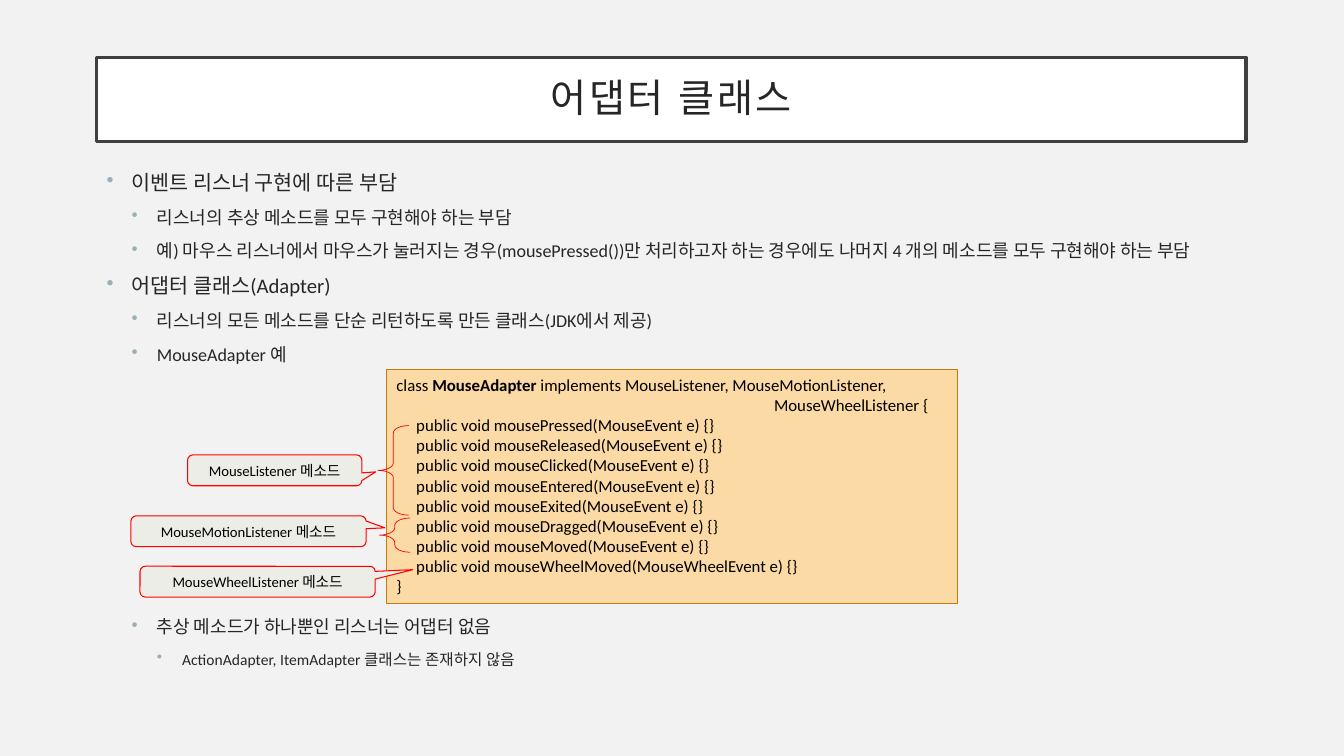
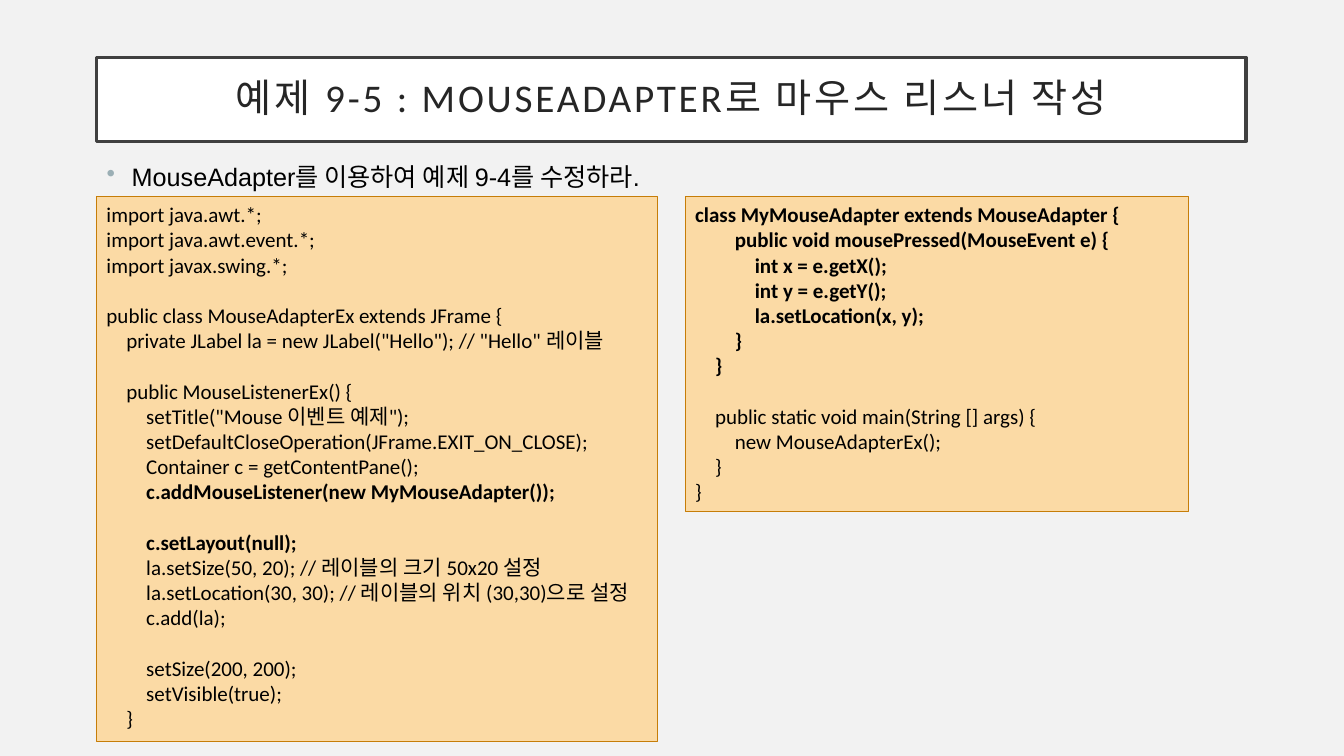
from dataclasses import dataclass

from lxml import etree
from pptx import Presentation
from pptx.dml.color import RGBColor
from pptx.enum import shapes, text
from pptx.oxml import ns
from pptx.util import Pt


@dataclass(frozen=True)
class Theme:
    background: str = "F2F2F2"
    title_fill: str = "FFFFFF"
    title_line: str = "404040"
    body: str = "262626"
    bullet: str = "9BAFB5"
    black: str = "000000"
    code_fill: str = "FBDAA5"
    code_line: str = "C67D08"
    note_fill: str = "EBEDE6"
    accent: str = "FF0000"
    font: str = "Calibri"
    title_size: float = 28
    level_sizes: tuple = (14.8, 12.9, 11.1)
    note_size: float = 10.5
    left: float = 69
    width: float = 821
    bullet_step: float = 18
    code_step: float = 14.2


T = Theme()
SHAPE = shapes.MSO_SHAPE

OUTLINE = [
    (0, "이벤트 리스너 구현에 따른 부담"),
    (1, "리스너의 추상 메소드를 모두 구현해야 하는 부담"),
    (1, "예) 마우스 리스너에서 마우스가 눌러지는 경우(mousePressed())만 처리하고자 하는 경우에도 나머지 4 개의 메소드를 모두 구현해야 하는 부담"),
    (0, "어댑터 클래스(Adapter)"),
    (1, "리스너의 모든 메소드를 단순 리턴하도록 만든 클래스(JDK에서 제공)"),
    (1, "MouseAdapter 예"),
]

CLOSING = [
    (1, "추상 메소드가 하나뿐인 리스너는 어댑터 없음"),
    (2, "ActionAdapter, ItemAdapter 클래스는 존재하지 않음"),
]

ADAPTER_METHODS = ["Pressed", "Released", "Clicked", "Entered", "Exited", "Dragged", "Moved"]
ADAPTER_CODE = "\n".join([
    "class **MouseAdapter** implements MouseListener, MouseMotionListener,",
    "\t" * 19 + "MouseWheelListener {",
    *(f"\tpublic void mouse{name}(MouseEvent e) {{}}" for name in ADAPTER_METHODS),
    "\tpublic void mouseWheelMoved(MouseWheelEvent e) {}",
    "}",
])

FRAME_CODE = """import java.awt.*;
import java.awt.event.*;
import javax.swing.*;

public class MouseAdapterEx extends JFrame {
\tprivate JLabel la = new JLabel("Hello"); // "Hello" 레이블

\tpublic MouseListenerEx() {
\t\tsetTitle("Mouse 이벤트 예제");
\t\tsetDefaultCloseOperation(JFrame.EXIT_ON_CLOSE);
\t\tContainer c = getContentPane();
\t\t**c.addMouseListener(new MyMouseAdapter());**

\t\t**c.setLayout(null);**
\t\tla.setSize(50, 20); // 레이블의 크기 50x20 설정
\t\tla.setLocation(30, 30); // 레이블의 위치 (30,30)으로 설정
\t\tc.add(la);

\t\tsetSize(200, 200);
\t\tsetVisible(true);
\t}"""

LISTENER_CODE = """**class MyMouseAdapter extends MouseAdapter {**
\t\t**public void mousePressed(MouseEvent e) {**
\t\t\t**int x = e.getX();**
\t\t\t**int y = e.getY();**
\t\t\t**la.setLocation(x, y);**
\t\t**}**
\t**}**

\tpublic static void main(String [] args) {
\t\tnew MouseAdapterEx();
\t}
}"""


def rgb(color):
    return RGBColor.from_string(color)


def style(r, size, color, font=T.font, bold=False):
    r.font.name = font
    r.font.size = Pt(size)
    r.font.bold = bold
    r.font.color.rgb = rgb(color)


def add_box(s, kind, at, fill, line, line_width, adjustments=()):
    sp = s.shapes.add_shape(kind, *map(Pt, at))
    sp.shadow.inherit = False
    if fill:
        sp.fill.solid()
        sp.fill.fore_color.rgb = rgb(fill)
    else:
        sp.fill.background()
    sp.line.color.rgb = rgb(line)
    sp.line.width = Pt(line_width)
    for i, value in enumerate(adjustments):
        sp.adjustments[i] = value
    sp.text_frame.word_wrap = True
    return sp


def add_label(sp, label, size, color):
    tf = sp.text_frame
    tf.text = label
    tf.vertical_anchor = text.MSO_ANCHOR.MIDDLE
    p = tf.paragraphs[0]
    p.alignment = text.PP_ALIGN.CENTER
    style(p.runs[0], size, color)
    return p


def add_title(s, title):
    sp = add_box(s, SHAPE.RECTANGLE, (T.left, 41, T.width, 60), T.title_fill, T.title_line, 2.5)
    p = add_label(sp, title, T.title_size, T.body)
    p.line_spacing = 0.9
    p.runs[0].font._element.set("spc", "200")


def set_bullet(p, level):
    pPr = p._p.get_or_add_pPr()
    pPr.set("marL", str(Pt(T.bullet_step * (level + 1))))
    pPr.set("indent", str(-Pt(T.bullet_step)))
    color = etree.SubElement(pPr, ns.qn("a:buClr"))
    etree.SubElement(color, ns.qn("a:srgbClr")).set("val", T.bullet)
    etree.SubElement(pPr, ns.qn("a:buChar")).set("char", "•")


def add_bullets(s, top, height, items, sizes=T.level_sizes, color=T.body, font=T.font, spacing=0.9):
    tf = s.shapes.add_textbox(Pt(T.left), Pt(top), Pt(T.width), Pt(height)).text_frame
    tf.word_wrap = True
    for i, (level, line) in enumerate(items):
        p = tf.add_paragraph() if i else tf.paragraphs[0]
        p.text = line
        p.level = level
        set_bullet(p, level)
        p.line_spacing = spacing
        if i:
            p.space_before = Pt(10)
        style(p.runs[0], sizes[level], color, font)


def add_code(s, at, code, size):
    tf = add_box(s, SHAPE.RECTANGLE, at, T.code_fill, T.code_line, 0.75).text_frame
    tf.vertical_anchor = text.MSO_ANCHOR.TOP
    tf.margin_right = 0
    for i, line in enumerate(code.split("\n")):
        p = tf.add_paragraph() if i else tf.paragraphs[0]
        p.alignment = text.PP_ALIGN.LEFT
        content = line.lstrip("\t")
        depth = len(line) - len(content)
        pPr = p._p.get_or_add_pPr()
        pPr.set("marL", str(Pt(T.code_step * depth)))
        pPr.set("indent", "0")
        for j, part in enumerate(content.split("**")):
            if part:
                r = p.add_run()
                r.text = part
                style(r, size, T.black, bold=j % 2 == 1)
        if not content:
            p._p.get_or_add_endParaRPr().set("sz", str(size * 100))


def add_brace(s, at):
    add_box(s, SHAPE.LEFT_BRACE, at, None, T.accent, 0.5, (0.24, 0.5))


def add_callout(s, left, top, width, tip, label):
    sp = add_box(s, SHAPE.ROUNDED_RECTANGULAR_CALLOUT, (left, top, width, 22),
                 T.note_fill, T.accent, 0.75, (*tip, 0.17))
    add_label(sp, label, T.note_size, T.black)


def add_slide(prs, title):
    s = prs.slides.add_slide(prs.slide_layouts[6])
    s.background.fill.solid()
    s.background.fill.fore_color.rgb = rgb(T.background)
    add_title(s, title)
    return s


def build_adapter_slide(prs):
    s = add_slide(prs, "어댑터 클래스")
    add_bullets(s, 119.5, 165, OUTLINE)
    add_bullets(s, 438, 50, CLOSING)
    add_code(s, (276, 264, 408, 167), ADAPTER_CODE, 12)
    add_brace(s, (270, 304, 22, 64))
    add_brace(s, (271, 370, 22, 24.5))
    for left, top, width, tip, listener in (
        (134, 325, 124.5, (0.58, 0.05), "MouseListener"),
        (93.5, 368.5, 168, (0.58, -0.11), "MouseMotionListener"),
        (100, 404.5, 168, (0.66, -0.39), "MouseWheelListener"),
    ):
        add_callout(s, left, top, width, tip, f"{listener} 메소드")


def build_example_slide(prs):
    s = add_slide(prs, "예제 9-5 : MOUSEADAPTER로 마우스 리스너 작성")
    add_bullets(s, 111.5, 29, [(0, "MouseAdapter를 이용하여 예제 9-4를 수정하라.")],
                sizes=(18,), color=T.black, font="Arial", spacing=1.0)
    add_code(s, (489.5, 140.5, 359.5, 225), LISTENER_CODE, 15)
    add_code(s, (T.left, 140.5, 401, 389), FRAME_CODE, 15)


def main():
    prs = Presentation()
    prs.slide_width = Pt(960)
    prs.slide_height = Pt(540)
    build_adapter_slide(prs)
    build_example_slide(prs)
    prs.save("out.pptx")


if __name__ == "__main__":
    main()
